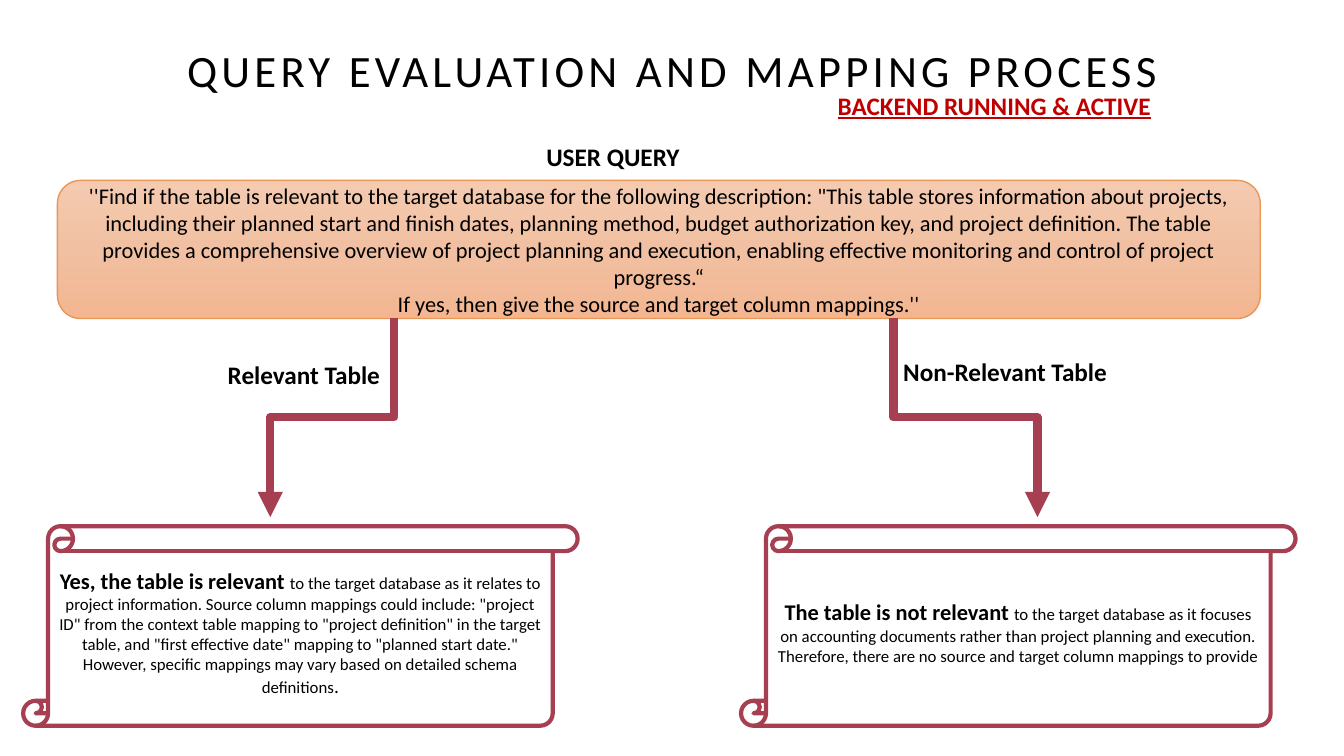
from copy import deepcopy

from lxml import etree
from pptx import Presentation
from pptx.dml.color import RGBColor
from pptx.enum.shapes import MSO_CONNECTOR, MSO_SHAPE
from pptx.enum.text import MSO_ANCHOR, MSO_AUTO_SIZE, PP_ALIGN
from pptx.oxml.ns import qn
from pptx.util import Inches, Pt

ELBOW = MSO_CONNECTOR.ELBOW
ROUNDED, SCROLL = MSO_SHAPE.ROUNDED_RECTANGLE, MSO_SHAPE.VERTICAL_SCROLL
MIDDLE, CENTER = MSO_ANCHOR.MIDDLE, PP_ALIGN.CENTER
FIT_SHAPE, NO_FIT = MSO_AUTO_SIZE.SHAPE_TO_FIT_TEXT, MSO_AUTO_SIZE.NONE

FONT = "Calibri"
COLORS = {"text": "000000", "status": "C00000", "flow": "A53F51", "query_line": "E89756"}
QUERY_GRADIENT = [(0, "F4CAB0"), (0.5, "F1C0A2"), (1, "F3B691")]

TITLE = "QUERY EVALUATION AND MAPPING PROCESS"
STATUS = "BACKEND RUNNING & ACTIVE"
QUERY = [
    "''Find if the table is relevant to the target database for the following description: "
    "\"This table stores information about projects, including their planned start and finish "
    "dates, planning method, budget authorization key, and project definition. The table "
    "provides a comprehensive overview of project planning and execution, enabling effective "
    "monitoring and control of project progress.“",
    "If yes, then give the source and target column mappings.''",
]
LABELS = [  # text, left, top, width
    ("USER QUERY", 5.32, 1.35, 1.54),
    ("Relevant Table", 2.16, 3.52, 1.78),
    ("Non-Relevant Table", 8.86, 3.49, 2.24),
]
ARROWS = [(3.91, 2.68), (8.86, 10.29)]  # start x, end x
ARROW_TOP, ARROW_BOTTOM = 3.15, 5.13
ANSWERS = [  # left, runs of (text, size, bold)
    (0.23, [
        ("Yes, the table is relevant ", 16, True),
        ("to the target database as it relates to project information. Source column mappings "
         "could include: \"project ID\" from the context table mapping to \"project definition\" "
         "in the target table, and \"first effective date\" mapping to \"planned start date.\" "
         "However, specific mappings may vary based on detailed schema definitions", 12, False),
        (".", 14, False),
    ]),
    (7.35, [
        ("The table is not relevant ", 16, True),
        ("to the target database as it focuses on accounting documents rather than project "
         "planning and execution. Therefore, there are no source and target column "
         "mappings to provide", 12, False),
    ]),
]


def rgb(name):
    return RGBColor.from_string(COLORS[name])


def style(font, size, bold=False, color="text"):
    font.name, font.size, font.bold = FONT, Pt(size), bold
    font.color.rgb = rgb(color)


def add_label(slide, text, left, top, width, color="text"):
    s = slide.shapes.add_textbox(Inches(left), Inches(top), Inches(width), Inches(0.4))
    s.text_frame.text = text
    s.text_frame.word_wrap = False
    s.text_frame.auto_size = FIT_SHAPE
    style(s.text_frame.paragraphs[0].runs[0].font, 18, True, color)
    return s


def add_box(slide, kind, left, top, width, height, line, weight):
    s = slide.shapes.add_shape(kind, Inches(left), Inches(top), Inches(width), Inches(height))
    s.shadow.inherit = False
    s.line.color.rgb = rgb(line)
    s.line.width = Pt(weight)
    s.text_frame.word_wrap = True
    s.text_frame.vertical_anchor = MIDDLE
    return s


def add_down_arrow(slide, x1, x2):
    """Elbow that leaves and arrives vertically: a horizontal one turned by 90 degrees."""
    mid_x, mid_y = (x1 + x2) / 2, (ARROW_TOP + ARROW_BOTTOM) / 2
    half_w, half_h = (ARROW_BOTTOM - ARROW_TOP) / 2, abs(x2 - x1) / 2
    to_left = x2 < x1
    side = half_w if to_left else -half_w
    c = slide.shapes.add_connector(ELBOW, Inches(mid_x - side), Inches(mid_y - half_h),
                                   Inches(mid_x + side), Inches(mid_y + half_h))
    c.line.color.rgb = rgb("flow")
    c.line.width = Pt(6)
    sp_pr = c._element.spPr
    sp_pr.find(qn("a:xfrm")).set("rot", str((90 if to_left else 270) * 60000))
    etree.SubElement(sp_pr.find(qn("a:ln")), qn("a:tailEnd"), type="triangle")
    etree.SubElement(sp_pr, qn("a:effectLst"))


def add_query(slide):
    s = add_box(slide, ROUNDED, 0.57, 1.79, 11.93, 1.37, "query_line", 1)
    s.fill.gradient()
    s.fill.gradient_angle = 270
    first = s._element.spPr.find(qn("a:gradFill")).find(qn("a:gsLst"))[0]
    first.addnext(deepcopy(first))
    for stop, (position, color) in zip(s.fill.gradient_stops, QUERY_GRADIENT):
        stop.position = position
        stop.color.rgb = RGBColor.from_string(color)
    s.text_frame.text = "\n".join(QUERY)
    for p in s.text_frame.paragraphs:
        p.alignment = CENTER
        style(p.runs[0].font, 16)


def add_answer(slide, left, runs):
    s = add_box(slide, SCROLL, left, 5.22, 5.5, 1.98, "flow", 3)
    s.fill.background()
    p = s.text_frame.paragraphs[0]
    p.alignment = CENTER
    for text, size, bold in runs:
        r = p.add_run()
        r.text = text
        style(r.font, size, bold)


def main():
    prs = Presentation()
    prs.slide_width, prs.slide_height = Inches(13.33), Inches(7.5)
    slide = prs.slides.add_slide(prs.slide_layouts[5])

    title = slide.shapes.title
    title.left, title.top = Inches(0.92), Inches(0)
    title.width, title.height = Inches(11.5), Inches(1.45)
    title.text_frame.text = TITLE
    title.text_frame.auto_size = NO_FIT
    title.text_frame.vertical_anchor = MIDDLE
    p = title.text_frame.paragraphs[0]
    p.alignment, p.line_spacing = CENTER, 0.9
    style(p.runs[0].font, 32)
    p.runs[0]._r.get_or_add_rPr().set("spc", "300")

    status = add_label(slide, STATUS, 8.21, 0.88, 5.35, "status")
    status.text_frame.word_wrap = True
    p = status.text_frame.paragraphs[0]
    p.line_spacing = 0.9
    p.runs[0].font.underline = True

    add_query(slide)
    for label in LABELS:
        add_label(slide, *label)
    for x1, x2 in ARROWS:
        add_down_arrow(slide, x1, x2)
    for left, runs in ANSWERS:
        add_answer(slide, left, runs)
    prs.save("out.pptx")


if __name__ == "__main__":
    main()
